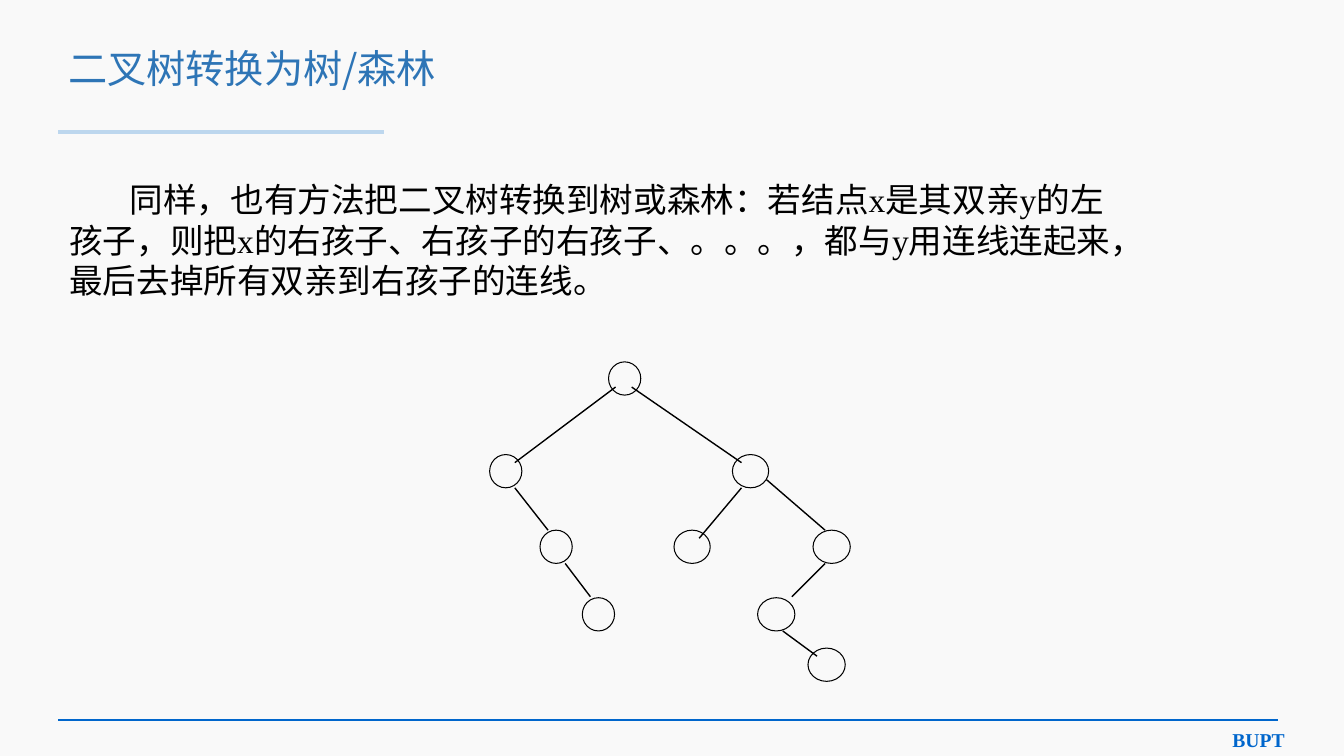
from lxml import etree
from pptx import Presentation
from pptx.dml.color import RGBColor
from pptx.enum.shapes import MSO_CONNECTOR as Connector, MSO_SHAPE as Shape
from pptx.enum.text import MSO_ANCHOR as Anchor, MSO_AUTO_SIZE as AutoSize, PP_ALIGN as Align
from pptx.oxml.ns import qn
from pptx.util import Inches, Pt

COLOURS = {
    "background": "F9F9F9",
    "title": "2E75B6",
    "title_rule": "BDD7EE",
    "footer": "0066CC",
    "ink": "000000",
}
LATIN, CJK = "Times New Roman", "Noto Sans CJK SC"
NODE_HEIGHT = 0.33

# Tree nodes: left, top, width
NODES = [
    (6.04, 3.59, 0.32),
    (4.86, 4.51, 0.32), (7.27, 4.51, 0.36),
    (5.36, 5.26, 0.32), (6.69, 5.26, 0.36), (8.07, 5.26, 0.37),
    (5.78, 5.93, 0.32), (7.52, 5.93, 0.37),
    (8.02, 6.43, 0.37),
]

# Tree edges: start x, start y, end x, end y
EDGES = [
    (6.11, 3.84, 5.11, 4.59), (6.27, 3.84, 7.36, 4.59),
    (5.11, 4.84, 5.44, 5.26), (5.61, 5.59, 5.86, 5.92),
    (7.36, 4.84, 6.94, 5.34), (7.61, 4.76, 8.19, 5.26),
    (8.19, 5.59, 7.86, 5.92), (7.77, 6.26, 8.11, 6.51),
]


def colour(name):
    return RGBColor.from_string(COLOURS[name])


def write_text(shape, text, ink, anchor=Anchor.TOP, para_format=None, **font_format):
    """Fill a shape with one formatted paragraph."""
    frame = shape.text_frame
    frame.word_wrap = True
    frame.auto_size = AutoSize.NONE
    frame.vertical_anchor = anchor
    para = frame.paragraphs[0]
    for name, value in (para_format or {}).items():
        setattr(para, name, value)
    span = para.add_run()
    span.text = text
    for name, value in font_format.items():
        setattr(span.font, name, value)
    span.font.color.rgb = colour(ink)
    latin = span.font._element.find(qn("a:latin"))
    east_asian = etree.Element(qn("a:ea"), typeface=CJK)
    latin.addnext(east_asian)
    return para


def add_text(page, area, text, ink, **formats):
    box = page.shapes.add_textbox(*map(Inches, area))
    return write_text(box, text, ink, **formats)


def add_line(page, ends, ink, width):
    line = page.shapes.add_connector(Connector.STRAIGHT, *map(Inches, ends))
    line.line.color.rgb = colour(ink)
    line.line.width = Pt(width)
    etree.SubElement(line._element.spPr, qn("a:effectLst"))


def add_node(page, left, top, width):
    node = page.shapes.add_shape(Shape.OVAL, *map(Inches, (left, top, width, NODE_HEIGHT)))
    node.shadow.inherit = False
    node.fill.background()
    node.line.color.rgb = colour("ink")
    node.line.width = Pt(0.75)


def set_title(page, text):
    title = page.shapes.title
    area = {"left": 0.58, "top": 0.28, "width": 11.5, "height": 0.85}
    for name, value in area.items():
        setattr(title, name, Inches(value))
    write_text(title, text, "title", anchor=Anchor.MIDDLE,
               para_format={"alignment": Align.LEFT, "line_spacing": 0.9},
               name=CJK, size=Pt(28))


def main():
    deck = Presentation()
    deck.slide_width, deck.slide_height = Inches(13.34), Inches(7.5)
    page = deck.slides.add_slide(deck.slide_layouts[5])
    page.background.fill.solid()
    page.background.fill.fore_color.rgb = colour("background")

    # Title and its rule
    set_title(page, "二叉树转换为树/森林")
    add_line(page, (0.58, 1.31, 3.81, 1.31), "title_rule", 3.5)

    # Explanation with a first-line indent
    para = add_text(
        page, (0.59, 1.73, 10.67, 1.3),
        "同样，也有方法把二叉树转换到树或森林：若结点x是其双亲y的左孩子，"
        "则把x的右孩子、右孩子的右孩子、。。。，都与y用连线连起来，"
        "最后去掉所有双亲到右孩子的连线。",
        "ink", name=LATIN, size=Pt(24))
    para._p.get_or_add_pPr().set("indent", str(Inches(0.6)))

    # Binary tree
    for node in NODES:
        add_node(page, *node)
    for edge in EDGES:
        add_line(page, edge, "ink", 1)

    # Footer
    add_line(page, (0.58, 7.14, 12.69, 7.14), "footer", 1.5)
    add_text(page, (11.5, 7.17, 1.35, 0.34), "BUPT", "footer",
             para_format={"alignment": Align.RIGHT},
             name=LATIN, size=Pt(14), bold=True)

    deck.save("out.pptx")


if __name__ == "__main__":
    main()
